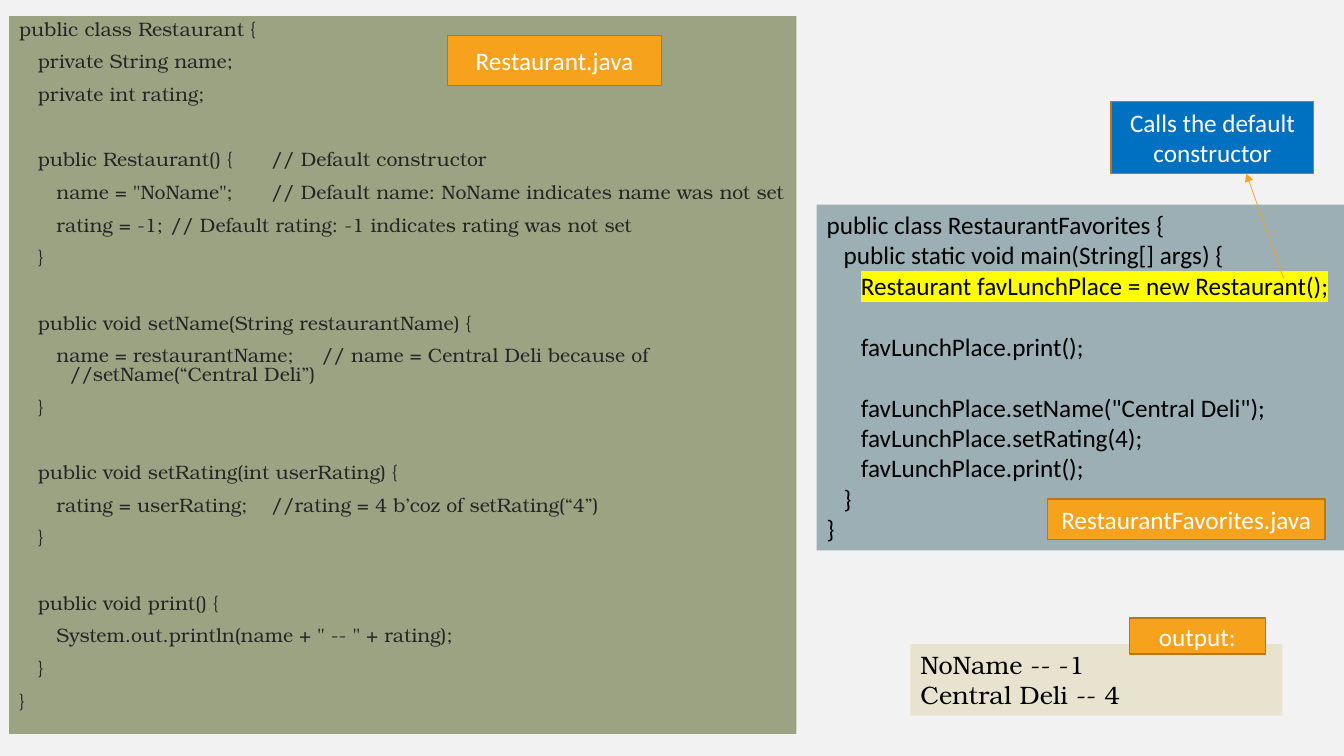
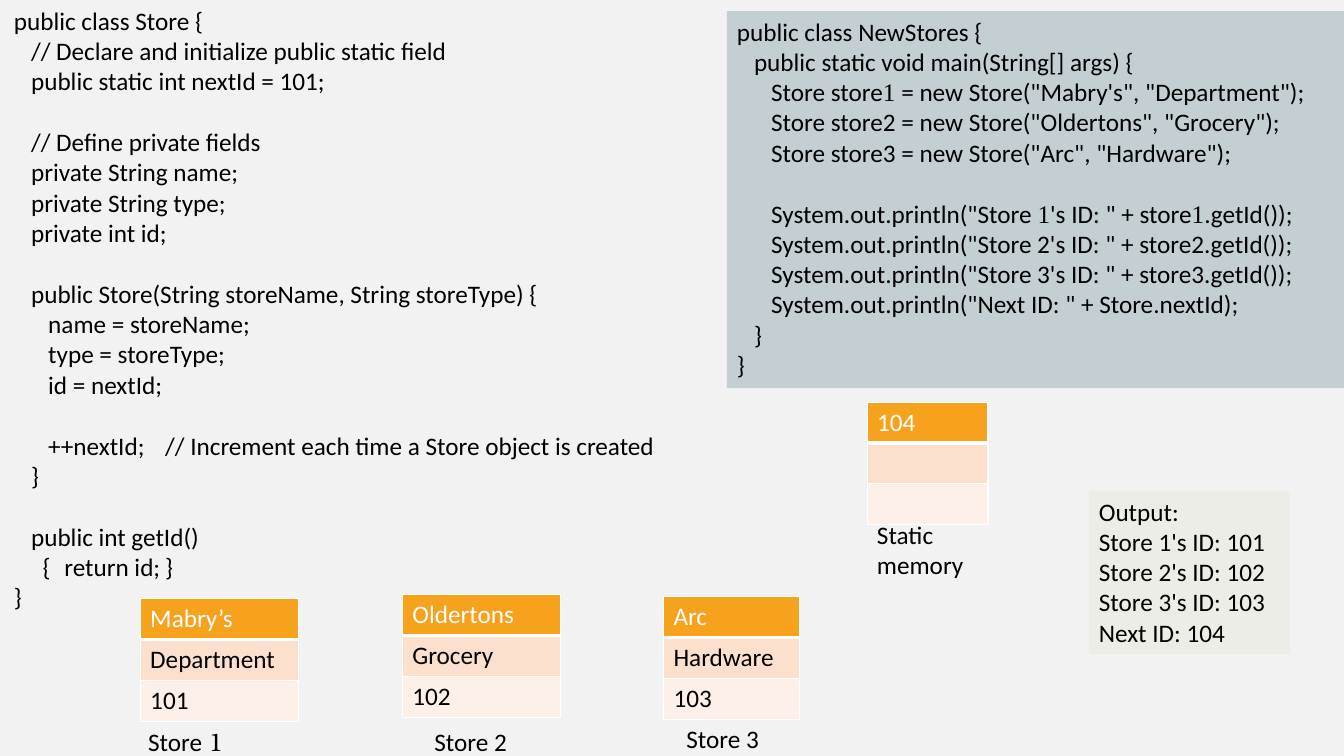
from lxml import etree
from pptx import Presentation, util as u
from pptx.dml.color import RGBColor
from pptx.enum import shapes, text
from pptx.oxml.ns import qn


# Theme
class Theme:
    page, ink, dark, white = "F2F2F2", "000000", "262626", "FFFFFF"
    olive, slate, mist = "9CA383", "9BAFB5", "C3CFD3"
    sand, pale = "E8E3CE", "EBEDE6"
    gold, rim, blue, mark = "F6A21D", "B67815", "0070C0", "FFFF00"
    rows = (gold, "FBE0CD", "FDF0E8")
    sans, serif, times = "Calibri", "TeX Gyre Bonum", "Times New Roman"
    size, small = 18, 13.9
    step, wide = 0.17, 0.185  # inches per code level
    blank, tall = 22, 23.4    # points per skipped line


WIDTH, HEIGHT = 13.33, 7.5

# Content: three spaces make a level, ~x~ is a tab to x inches,
# |...| takes the second run format, an empty line becomes space
CLASS = '''public class Restaurant {
   private String name;
   private int rating;

   public Restaurant() {~2.25~// Default constructor
      name = "NoName";~2.38~// Default name: NoName indicates name was not set
      rating = -1;~1.93~// Default rating: -1 indicates rating was not set
   }

   public void setName(String restaurantName) {
      name = restaurantName;~3.06~// name = Central Deli because of\v~1.06~//setName(“Central Deli”)
   }

   public void setRating(int userRating) {
      rating = userRating;~2.4~//rating = 4 b’coz of setRating(“4”)
   }

   public void print() {
      System.out.println(name + " -- " + rating);
   }
}'''

MAIN = '''public class RestaurantFavorites {
   public static void main(String[] args) {
      |Restaurant favLunchPlace = new Restaurant();|

      favLunchPlace.print();

      favLunchPlace.setName("Central Deli");
      favLunchPlace.setRating(4);
      favLunchPlace.print();
   }
}'''

STORE = '''public class Store {
   // Declare and initialize public static field
   public static int nextId = 101;

   // Define private fields
   private String name;
   private String type;
   private int id;

   public Store(String storeName, String storeType) {
      name = storeName;
      type = storeType;
      id = nextId;

      ++nextId;~1.47~// Increment each time a Store object is created
   }

   public int getId()
     {~0.64~return id;~1.88~}
}'''

NEW = '''public class NewStores {
   public static void main(String[] args) {
      Store store|1| = new Store("Mabry's", "Department");
      Store store2 = new Store("Oldertons", "Grocery");
      Store store3 = new Store("Arc", "Hardware");

      System.out.println("Store |1|'s ID: " + store|1|.getId());
      System.out.println("Store 2's ID: " + store2.getId());
      System.out.println("Store 3's ID: " + store3.getId());
      System.out.println("Next ID: " + Store.nextId);
   }
}'''

SHOWN = "NoName -- -1\nCentral Deli -- 4"
IDS = '''Output:
Store 1's ID: 101
Store 2's ID: 102
Store 3's ID: 103
Next ID: 104'''

# Text, place, fill
TAGS = [
    ("Restaurant.java", (4.44, 0.35, 2.12, 0.5), Theme.gold),
    ("Calls the default constructor", (11.02, 1.01, 2.01, 0.71), Theme.blue),
    ("RestaurantFavorites.java", (10.39, 4.95, 2.75, 0.4), Theme.gold),
    ("output:", (11.2, 6.13, 1.35, 0.36), Theme.gold),
]
# Cells, left, top, width, caption, caption left and top
GRIDS = [
    (("Mabry’s", "Department", "101"), 1.39, 5.94, 1.57, "Store |1|", 1.37, 7.16),
    (("Oldertons", "Grocery", "102"), 3.99, 5.9, 1.57, "Store 2", 4.21, 7.16),
    (("Arc", "Hardware", "103"), 6.58, 5.92, 1.35, "Store 3", 6.71, 7.13),
    (("104", "", ""), 8.6, 3.99, 1.2, "Static memory", 8.6, 5.1),
]


# Helpers
def rgb(hue):
    return RGBColor.from_string(hue)


def span(box):
    return [u.Inches(n) for n in box]


def style(run, font, size, hue, mark=None):
    run.font.name, run.font.size = font, u.Pt(size)
    run.font.color.rgb = rgb(hue)
    if mark:
        light = etree.Element(qn("a:highlight"))
        etree.SubElement(light, qn("a:srgbClr"), val=mark)
        run.font.fill._xPr.find(qn("a:solidFill")).addnext(light)


def write(frame, body, font=Theme.sans, size=Theme.size, hue=Theme.ink,
          alt=None, align=text.PP_ALIGN.LEFT, step=Theme.step,
          blank=Theme.blank, before=0, lines=1.0):
    """Fill a text frame with lines; alt changes the format of |...| runs."""
    base = dict(font=font, size=size, hue=hue)
    para, gap = None, 0
    for line in body.split("\n"):
        if not line:
            gap += blank
            continue
        para = frame.add_paragraph() if para else frame.paragraphs[0]
        para.alignment, para.line_spacing = align, lines
        para.space_before, gap = u.Pt(before + gap), 0
        bare = line.lstrip(" ")
        props = para._p.get_or_add_pPr()
        props.set("marL", "0")
        props.set("indent", str(u.Inches((len(line) - len(bare)) / 3 * step)))
        etree.SubElement(props, qn("a:buNone"))
        parts = bare.split("~")
        if parts[1:]:
            tabs = etree.SubElement(props, qn("a:tabLst"))
            for stop in sorted(map(float, parts[1::2])):
                etree.SubElement(tabs, qn("a:tab"), pos=str(u.Inches(stop)), algn="l")
        for row, piece in enumerate("\t".join(parts[::2]).split("\v")):
            if row:
                para.add_line_break()
            for odd, words in enumerate(piece.split("|")):
                if words:
                    run = para.add_run()
                    run.text = words
                    style(run, **{**base, **(alt or {} if odd % 2 else {})})


def panel(slide, box, body, fill=None, line=None, mid=False, **look):
    """Add a rectangle, or a text box when it has no fill."""
    if fill:
        shape = slide.shapes.add_shape(shapes.MSO_SHAPE.RECTANGLE, *span(box))
        shape.shadow.inherit = False
        shape.fill.solid()
        shape.fill.fore_color.rgb = rgb(fill)
        if line:
            shape.line.color.rgb, shape.line.width = rgb(line), u.Pt(1)
        else:
            shape.line.fill.background()
    else:
        shape = slide.shapes.add_textbox(*span(box))
    frame = shape.text_frame
    frame.word_wrap = True
    frame.vertical_anchor = text.MSO_ANCHOR.MIDDLE if mid else text.MSO_ANCHOR.TOP
    if box[0] + box[2] >= WIDTH:
        frame.margin_right = 0
    write(frame, body, **look)


def arrow(slide, start, end):
    line = slide.shapes.add_connector(
        shapes.MSO_CONNECTOR.STRAIGHT, *span(start + end))
    line.line.color.rgb, line.line.width = rgb(Theme.gold), u.Pt(0.5)
    etree.SubElement(line.line._get_or_add_ln(), qn("a:tailEnd"), type="triangle")
    etree.SubElement(line._element.spPr, qn("a:effectLst"))


def grid(slide, cells, left, top, width):
    box = span((left, top, width, 0.405 * len(cells)))
    table = slide.shapes.add_table(len(cells), 1, *box).table
    for row, (word, fill) in enumerate(zip(cells, Theme.rows)):
        cell = table.cell(row, 0)
        write(cell.text_frame, word, hue=Theme.ink if row else Theme.white)
        props = cell._tc.get_or_add_tcPr()
        for side in "LRTB":
            thick = 3 if (row, side) in ((0, "B"), (1, "T")) else 1
            edge = etree.SubElement(props, qn("a:ln" + side), w=str(u.Pt(thick)))
            paint = etree.SubElement(edge, qn("a:solidFill"))
            etree.SubElement(paint, qn("a:srgbClr"), val=Theme.white)
        cell.fill.solid()
        cell.fill.fore_color.rgb = rgb(fill)


# Slides
def dining(deck):
    slide = deck.slides.add_slide(deck.slide_layouts[1])
    title = slide.shapes.title._element
    title.getparent().remove(title)
    body = slide.placeholders[1]
    body.left, body.top, body.width, body.height = span((0.09, 0.16, 7.81, 7.12))
    body.fill.solid()
    body.fill.fore_color.rgb = rgb(Theme.olive)
    body.text_frame.auto_size = text.MSO_AUTO_SIZE.NONE
    body.text_frame.vertical_anchor = text.MSO_ANCHOR.TOP
    write(body.text_frame, CLASS, font=Theme.serif, size=Theme.small,
          hue=Theme.dark, step=Theme.wide, blank=Theme.tall, before=10, lines=0.8)

    panel(slide, (8.1, 2.03, WIDTH - 8.1, 3.43), MAIN, Theme.slate,
          alt=dict(mark=Theme.mark))
    panel(slide, (9.03, 6.39, 3.69, 0.71), SHOWN, Theme.sand, font=Theme.serif)
    for words, box, fill in TAGS:
        panel(slide, box, words, fill, Theme.rim, mid=True, hue=Theme.white,
              align=text.PP_ALIGN.CENTER)
    arrow(slide, (12.73, 2.76), (12.36, 1.72))


def stores(deck):
    slide = deck.slides.add_slide(deck.slide_layouts[6])
    panel(slide, (0.04, 0, 6.67, 6.16), STORE)
    panel(slide, (7.21, 0.11, WIDTH - 7.21, 3.74), NEW, Theme.mist,
          alt=dict(font=Theme.times))
    panel(slide, (10.8, 4.87, 1.99, 1.62), IDS, Theme.pale)
    for cells, left, top, width, name, x, y in GRIDS:
        grid(slide, cells, left, top, width)
        panel(slide, (x, y, 1.2, min(0.71, HEIGHT - y)), name,
              alt=dict(font=Theme.serif))


def main():
    deck = Presentation()
    deck.slide_width, deck.slide_height = span((WIDTH, HEIGHT))
    back = deck.slide_master.background.fill
    back.solid()
    back.fore_color.rgb = rgb(Theme.page)
    dining(deck)
    stores(deck)
    deck.save("out.pptx")


if __name__ == "__main__":
    main()
